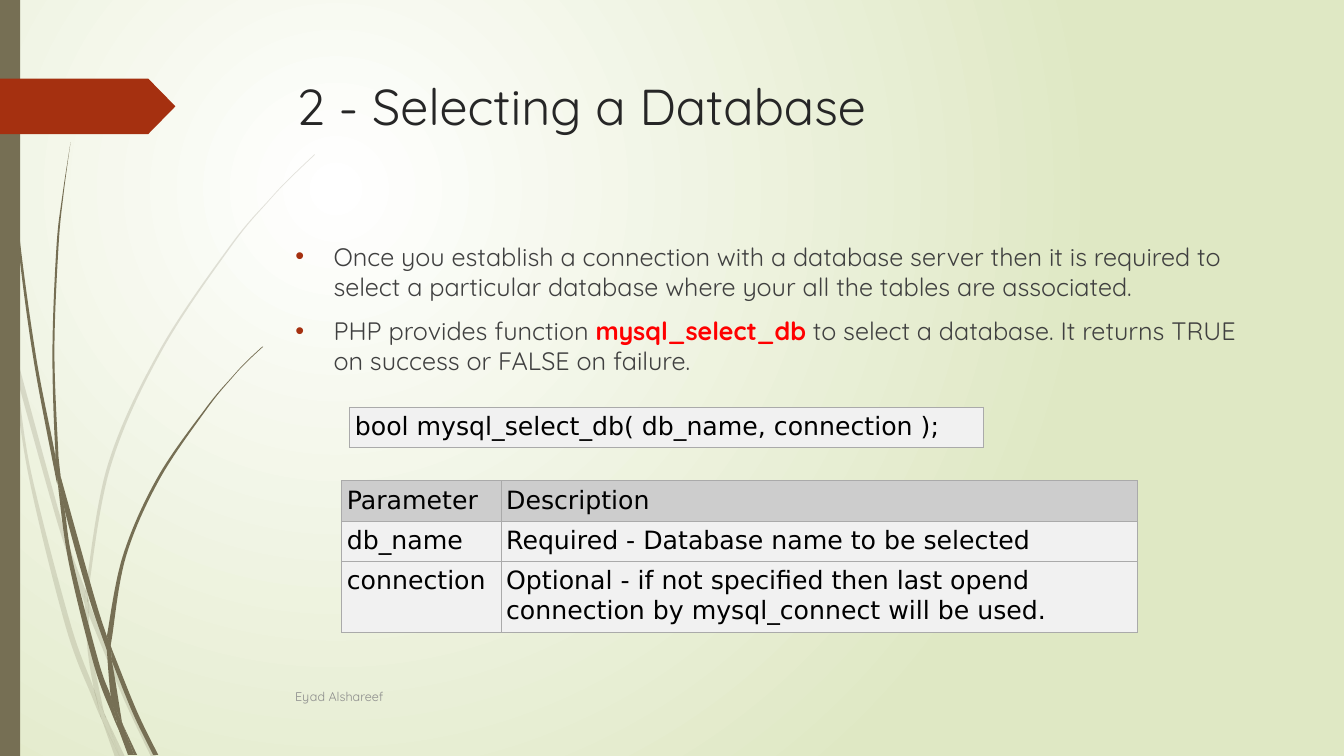
from lxml import etree
from pptx import Presentation
from pptx.dml.color import RGBColor
from pptx.enum.shapes import MSO_SHAPE
from pptx.enum.text import MSO_ANCHOR, MSO_AUTO_SIZE, PP_ALIGN
from pptx.oxml.ns import qn
from pptx.util import Inches, Pt

HEADING_FONT, CODE_FONT = "Quicksand", "DejaVu Sans"
OLIVE, RUST, BORDER = "766F54", "A53010", "AAAAAA"
HEADER_FILL, CELL_FILL = "CDCDCD", "F1F1F1"

# Each piece of grass is outlined by two smooth edges, one down and one back.
PALE_GRASS = [
    ([(0, 2.82), (0.09, 3.22), (0.11, 3.5)], [(0.1, 3.44), (0, 2.99)]),
    ([(0.14, 3.45), (0.62, 5.2), (0.85, 5.86)], [(0.84, 5.99), (0.58, 5.22), (0.17, 3.76)]),
    ([(0.88, 5.96), (0.92, 6.07), (1.27, 6.92), (1.55, 7.51)],
     [(1.5, 7.51), (1.23, 6.94), (0.88, 6.1)]),
    ([(1.05, 7.11), (1.24, 7.51)], [(1.19, 7.51), (1.05, 7.11)]),
    ([(0.11, 3.5), (0.17, 3.76), (0.31, 4.69), (0.7, 6.19), (0.93, 6.83), (0.99, 7.07)],
     [(1.01, 7.14), (0.92, 6.93), (0.65, 6.21), (0.28, 4.7), (0.11, 3.5)]),
    ([(0.84, 5.99), (0.88, 6.08), (0.88, 6.1), (0.91, 6.46), (1.03, 7.06), (1.05, 7.11)],
     [(0.96, 6.92), (0.93, 6.83), (0.87, 6.46), (0.84, 5.99)]),
    ([(3.12, 1.53), (2.89, 1.75), (2.68, 1.97), (2.28, 2.44), (1.58, 3.48), (1.07, 4.61),
      (0.85, 5.84), (0.85, 5.86)],
     [(0.88, 5.96), (0.88, 5.84), (1.1, 4.62), (1.6, 3.49), (2.29, 2.45), (2.68, 1.98),
      (2.9, 1.75), (3.12, 1.54)]),
    ([(1.01, 7.14), (1.19, 7.51)], [(1.14, 7.51), (1.01, 7.14)]),
    ([(0.85, 5.86), (0.88, 5.96), (0.88, 6.1)], [(0.88, 6.08), (0.84, 5.99)]),
    ([(0.93, 6.83), (0.96, 6.92), (1.05, 7.11), (1.19, 7.51)],
     [(1.19, 7.51), (1.01, 7.14), (0.99, 7.07), (0.93, 6.83)]),
]
DARK_GRASS = [
    ([(0.04, 0), (0.05, 0.48), (0.08, 1.09), (0.19, 2.32), (0.36, 3.55), (0.55, 4.53), (0.57, 4.81)],
     [(0.56, 4.77), (0.33, 3.55), (0.17, 2.33), (0.07, 1.1), (0.04, 0.48), (0.03, 0)]),
    ([(0.6, 4.72), (0.93, 5.9), (1.06, 6.31)], [(1.06, 6.45), (0.88, 5.92), (0.64, 5.05), (0.6, 4.72)]),
    ([(1.1, 6.41), (1.13, 6.49), (1.36, 7.06), (1.57, 7.49)],
     [(1.52, 7.49), (1.32, 7.08), (1.11, 6.56)]),
    ([(0.57, 4.77), (0.64, 5.05), (0.72, 5.56), (0.98, 6.57), (1.1, 6.91), (1.16, 7.17)],
     [(1.17, 7.22), (1.11, 7.08), (0.93, 6.59), (0.68, 5.57), (0.57, 4.77)]),
    ([(0.7, 1.41), (0.62, 1.93), (0.56, 2.45), (0.52, 3.49), (0.55, 4.49), (0.6, 4.72)],
     [(0.58, 4.53), (0.54, 3.49), (0.58, 2.45), (0.63, 1.93), (0.7, 1.41)]),
    ([(1.22, 7.19), (1.36, 7.49)], [(1.33, 7.49), (1.22, 7.19)]),
    ([(0.55, 4.49), (0.6, 4.72), (0.64, 5.05)], [(0.57, 4.77), (0.55, 4.53)]),
    ([(2.6, 3.44), (2.45, 3.58), (2.31, 3.73), (2.04, 4.05), (1.56, 4.74), (1.22, 5.51), (1.06, 6.31)],
     [(1.1, 6.41), (1.11, 6.33), (1.25, 5.52), (1.58, 4.76), (2.05, 4.06), (2.31, 3.74),
      (2.45, 3.59), (2.61, 3.44)]),
    ([(1.17, 7.22), (1.31, 7.49)], [(1.27, 7.49), (1.17, 7.22)]),
    ([(1.06, 6.45), (1.11, 6.56), (1.21, 7.16), (1.22, 7.19)],
     [(1.16, 7.06), (1.1, 6.91), (1.06, 6.45)]),
    ([(1.06, 6.31), (1.1, 6.41), (1.11, 6.56)], [(1.09, 6.51), (1.06, 6.45)]),
    ([(1.1, 6.91), (1.16, 7.06), (1.22, 7.19), (1.33, 7.49)],
     [(1.3, 7.49), (1.17, 7.22), (1.16, 7.17), (1.1, 6.91)]),
]


def rgb(hex_color):
    return RGBColor.from_string(hex_color)


def style_run(run, size, color, font=HEADING_FONT, bold=False):
    run.font.size, run.font.name, run.font.bold = Pt(size), font, bold
    run.font.color.rgb = rgb(color)


def paint(shape, color, alpha=100):
    shape.shadow.inherit = False
    shape.fill.solid()
    shape.fill.fore_color.rgb = rgb(color)
    shape.line.fill.background()
    if alpha < 100:
        color_element = shape.fill._xPr.find(qn("a:solidFill"))[0]
        etree.SubElement(color_element, qn("a:alpha"), val=str(alpha * 1000))


def curve_edges(shape, edges):
    """Turn the straight steps within each edge into smooth Bézier curves."""
    steps = iter(shape._element.findall(".//" + qn("a:lnTo")))
    for index, edge in enumerate(edges):
        if index:
            next(steps)
        padded = [edge[0], *edge, edge[-1]]
        for a, b, c, d in zip(padded, padded[1:], padded[2:], padded[3:]):
            step = next(steps)
            step.tag = qn("a:cubicBezTo")
            controls = [[q + (r - p) / 6 for p, q, r in zip(a, b, c)],
                        [r - (s - q) / 6 for q, r, s in zip(b, c, d)]]
            for position, (x, y) in enumerate(controls):
                point = etree.Element(qn("a:pt"), x=str(Inches(x) - shape.left),
                                      y=str(Inches(y) - shape.top))
                step.insert(position, point)


def add_grass(slide, pieces, alpha):
    for edges in pieces:
        outline = [(Inches(x), Inches(y)) for edge in edges for x, y in edge]
        builder = slide.shapes.build_freeform(*outline[0])
        builder.add_line_segments(outline[1:], close=True)
        piece = builder.convert_to_shape()
        curve_edges(piece, edges)
        paint(piece, OLIVE, alpha)


def add_background(slide):
    fill = slide.background.fill
    fill.gradient()
    for stop, color in zip(fill.gradient_stops, ("FFFFFF", "DFE8C4")):
        stop.color.rgb = rgb(color)
    gradient = slide.background._cSld.find(".//" + qn("a:gradFill"))
    circle = etree.Element(qn("a:path"))
    circle.set("path", "circle")
    etree.SubElement(circle, qn("a:fillToRect"), l="50000", t="50000", r="100000", b="100000")
    gradient.replace(gradient.find(qn("a:lin")), circle)


def add_decoration(slide):
    add_grass(slide, PALE_GRASS, 20)
    add_grass(slide, DARK_GRASS, 100)
    side_bar = slide.shapes.add_shape(MSO_SHAPE.RECTANGLE, 0, 0, Inches(0.2), Inches(7.5))
    paint(side_bar, OLIVE)
    pointer = slide.shapes.add_shape(
        MSO_SHAPE.PENTAGON, 0, Inches(0.78), Inches(1.74), Inches(0.55))
    pointer.adjustments[0] = 0.49
    paint(pointer, RUST)


def add_title(slide, left, top, width, height):
    title = slide.shapes.title
    title.left, title.top, title.width, title.height = map(Inches, (left, top, width, height))
    frame = title.text_frame
    frame.text = "2 - Selecting a Database"
    frame.vertical_anchor, frame.auto_size = MSO_ANCHOR.TOP, MSO_AUTO_SIZE.NONE
    frame.paragraphs[0].alignment = PP_ALIGN.LEFT
    style_run(frame.paragraphs[0].runs[0], 36, "262626")


def add_text_frame(slide, left, top, width, height):
    frame = slide.shapes.add_textbox(*map(Inches, (left, top, width, height))).text_frame
    frame.word_wrap = True
    return frame


def add_bullets(slide, bullets, left, top, width, height):
    """Add bulleted paragraphs, each a list of (text, is_function_name)."""
    frame = add_text_frame(slide, left, top, width, height)
    for index, parts in enumerate(bullets):
        paragraph = frame.add_paragraph() if index else frame.paragraphs[0]
        paragraph.space_before = Pt(10)
        properties = paragraph._p.get_or_add_pPr()
        properties.set("marL", str(Inches(0.38)))
        properties.set("indent", str(Inches(-0.38)))
        bullet_color = etree.SubElement(properties, qn("a:buClr"))
        etree.SubElement(bullet_color, qn("a:srgbClr"), val=RUST)
        etree.SubElement(properties, qn("a:buFont"), typeface="Arial")
        etree.SubElement(properties, qn("a:buChar"), char="•")
        for text, is_function in parts:
            run = paragraph.add_run()
            run.text = text
            style_run(run, 18, "FF0000" if is_function else "404040", bold=is_function)


def add_footer(slide, left, top, width, height):
    frame = add_text_frame(slide, left, top, width, height)
    frame.text = "Eyad Alshareef"
    frame.vertical_anchor = MSO_ANCHOR.MIDDLE
    style_run(frame.paragraphs[0].runs[0], 9, "8C8C8C")


def set_borders(cell):
    properties = cell._tc.get_or_add_tcPr()
    for index, side in enumerate(("lnL", "lnR", "lnT", "lnB")):
        line = etree.Element(qn(f"a:{side}"), w=str(Pt(0.75)))
        fill = etree.SubElement(line, qn("a:solidFill"))
        etree.SubElement(fill, qn("a:srgbClr"), val=BORDER)
        properties.insert(index, line)


def add_code_table(slide, rows, left, top, widths, height, has_header=False):
    """Add a table whose rows grow to fit their text."""
    table = slide.shapes.add_table(
        len(rows), len(widths), Inches(left), Inches(top),
        Inches(sum(widths)), Inches(height)).table
    table.first_row, table.horz_banding = has_header, False
    for column, width in zip(table.columns, widths):
        column.width = Inches(width)
    for row_index, (row, texts) in enumerate(zip(table.rows, rows)):
        row.height = 0
        for cell, text in zip(row.cells, texts):
            cell.text = text
            cell.margin_left = cell.margin_right = Inches(0.05)
            cell.margin_top = cell.margin_bottom = Inches(0.05)
            cell.fill.solid()
            is_header = has_header and row_index == 0
            cell.fill.fore_color.rgb = rgb(HEADER_FILL if is_header else CELL_FILL)
            style_run(cell.text_frame.paragraphs[0].runs[0], 18, "000000", CODE_FONT)
            set_borders(cell)


def main():
    presentation = Presentation()
    presentation.slide_width, presentation.slide_height = Inches(13.33), Inches(7.5)
    slide = presentation.slides.add_slide(presentation.slide_layouts[5])
    add_background(slide)
    add_decoration(slide)
    add_title(slide, 2.84, 0.69, 9.75, 1.4)
    add_bullets(slide, [
        [("Once you establish a connection with a database server then it is required to "
          "select a particular database where your all the tables are associated.", False)],
        [("PHP provides function ", False), ("mysql_select_db", True),
         (" to select a database. It returns TRUE on success or FALSE on failure.", False)],
    ], 2.83, 2.34, 9.75, 1.5)
    add_footer(slide, 2.83, 6.71, 8.33, 0.4)
    add_code_table(slide, [["bool mysql_select_db( db_name, connection );"]],
                   3.47, 4.04, [6.28], 0.4)
    add_code_table(slide, [
        ["Parameter", "Description"],
        ["db_name", "Required - Database name to be selected"],
        ["connection", "Optional - if not specified then last opend connection by "
                       "mysql_connect will be used."],
    ], 3.39, 4.77, [1.58, 6.31], 1.51, has_header=True)
    presentation.save("out.pptx")


if __name__ == "__main__":
    main()
